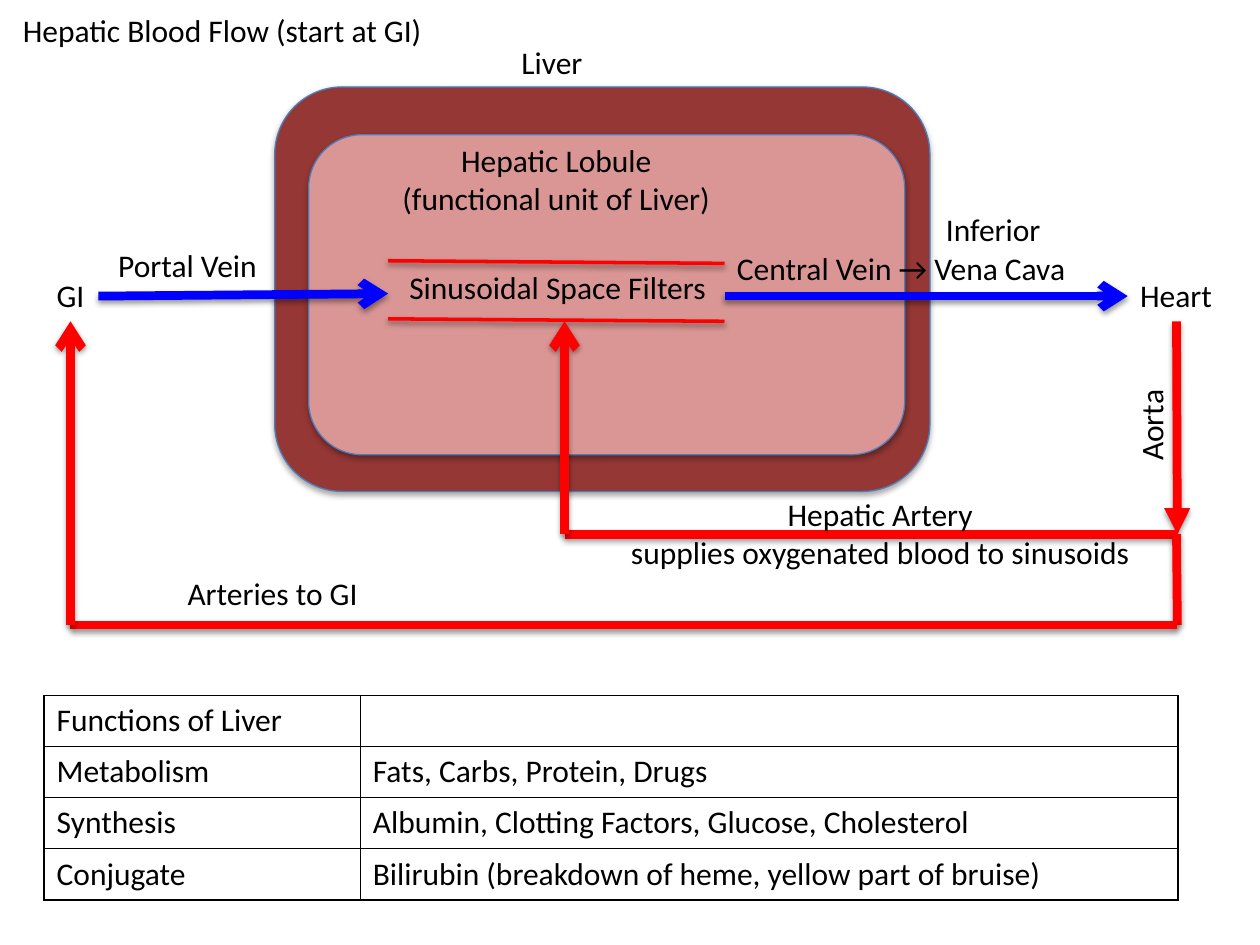
"""Build the hepatic blood flow slide."""
from lxml import etree
from pptx import Presentation
from pptx.dml.color import RGBColor
from pptx.enum.shapes import MSO_CONNECTOR, MSO_SHAPE
from pptx.enum.text import MSO_ANCHOR, PP_ALIGN
from pptx.oxml.ns import qn
from pptx.util import Pt

ROUND = MSO_SHAPE.ROUNDED_RECTANGLE
STRAIGHT = MSO_CONNECTOR.STRAIGHT
TOP = MSO_ANCHOR.TOP
LEFT, CENTER = PP_ALIGN.LEFT, PP_ALIGN.CENTER

COLORS = {"liver": "953735", "lobule": "D99694", "edge": "4B7EBC",
          "vein": "0000FF", "artery": "FF0000", "ink": "000000"}
FONT, SIZE = "Calibri", 18

TITLE = ("Hepatic Blood Flow (start at GI)", 5.8, 2.9, 245.5, 28.8)
BOXES = [("liver", 157, 49.7, 374.4, 231.1), ("lobule", 176.4, 77, 340.6, 182.9)]

GUT, HEART, SINUS = 40.3, 672.8, 322.6
WALL, EXIT = 221.8, 414
FLOW, BASE, FORK, FLOOR = 169.2, 183.6, 305.3, 357.1
LINES = [
    ("vein", EXIT, FLOW, 644.4, FLOW, 5, "arrow"),
    ("vein", 56.2, FLOW, WALL, 167.8, 5, "arrow"),
    ("artery", WALL, 149, EXIT, 150.5, 2, None),
    ("artery", WALL, 182.2, EXIT, BASE, 2, None),
    ("artery", 672.3, BASE, HEART, FORK, 5, "triangle"),
    ("artery", HEART, FORK, SINUS, FORK, 5, None),
    ("artery", SINUS, FORK, SINUS, BASE, 5, "arrow"),
    ("artery", 672.3, FORK, HEART, FLOOR, 5, None),
    ("artery", HEART, FLOOR, GUT, FLOOR, 5, None),
    ("artery", GUT, FLOOR, GUT, BASE, 5, "arrow"),
]
LABELS = [
    ("GI", 25.2, 154.1, 30.2, 0),
    ("Liver", 290.9, 20.9, 49.7, 0),
    ("Hepatic Lobule\n(functional unit of Liver)", 221.8, 77, 192.2, 0),
    ("Portal Vein", 60.5, 136.8, 95.8, 0),
    ("Heart", 644.4, 154.1, 56.2, 0),
    ("Central Vein → Vena Cava", 414, 139, 208.1, 0),
    ("Sinusoidal Space Filters", 226.8, 149.8, 186.5, 0),
    ("Hepatic Artery\nsupplies oxygenated blood to sinusoids", 351.4, 279.4, 303.1, 0),
    ("Inferior", 533.5, 116.6, 69.8, 0),
    ("Aorta", 630, 228.2, 55.4, 270),
    ("Arteries to GI", 100.1, 324.7, 113, 0),
]
ROWS = [
    ("Functions of Liver", ""),
    ("Metabolism", "Fats, Carbs, Protein, Drugs"),
    ("Synthesis", "Albumin, Clotting Factors, Glucose, Cholesterol"),
    ("Conjugate", "Bilirubin (breakdown of heme, yellow part of bruise)"),
]
GRID = (25.2, 397.4)
COLS, ROW = (180.7, 467.3), 29.2


def rgb(name):
    return RGBColor.from_string(COLORS[name])


def node(parent, tag, **attrs):
    return etree.SubElement(parent, qn(tag), attrs)


def shade(shape, alpha):
    root = node(shape._element.spPr, "a:effectLst")
    cast = node(root, "a:outerShdw", blurRad=str(Pt(3.1)), dist=str(Pt(1.7)),
                dir="5400000", rotWithShape="0")
    tint = node(cast, "a:srgbClr", val=COLORS["ink"])
    node(tint, "a:alpha", val=str(alpha * 1000))


def write(frame, text, align):
    frame.text = text
    for para in frame.paragraphs:
        para.alignment = align
        for run in para.runs:
            run.font.name, run.font.size = FONT, Pt(SIZE)
            run.font.color.rgb = rgb("ink")


def add_box(slide, name, *place):
    box = slide.shapes.add_shape(ROUND, *map(Pt, place))
    box.fill.solid()
    box.fill.fore_color.rgb = rgb(name)
    box.line.color.rgb = rgb("edge")
    box.line.width = Pt(0.75)
    shade(box, 35)


def add_line(slide, name, x1, y1, x2, y2, width, tip):
    line = slide.shapes.add_connector(STRAIGHT, *map(Pt, (x1, y1, x2, y2)))
    line.line.color.rgb = rgb(name)
    line.line.width = Pt(width)
    if tip:
        node(line.get_or_add_ln(), "a:tailEnd", type=tip)
    shade(line, 38)


def add_label(slide, text, left, top, width, turn):
    lines = text.count("\n") + 1
    box = slide.shapes.add_textbox(*map(Pt, (left, top, width, 7.2 + 21.8 * lines)))
    box.rotation = turn
    box.text_frame.word_wrap = False
    write(box.text_frame, text, CENTER if lines > 1 else LEFT)


def add_grid(slide):
    size = (sum(COLS), ROW * len(ROWS))
    table = slide.shapes.add_table(len(ROWS), len(COLS), *map(Pt, GRID + size)).table
    table.first_row = table.horz_banding = False
    for col, width in zip(table.columns, COLS):
        col.width = Pt(width)
    for row, texts in zip(table.rows, ROWS):
        row.height = Pt(ROW)
        for cell, text in zip(row.cells, texts):
            write(cell.text_frame, text, LEFT)
            props = cell._tc.get_or_add_tcPr()
            for side in "LRTB":
                edge = node(props, f"a:ln{side}", w=str(Pt(1)))
                node(node(edge, "a:solidFill"), "a:srgbClr", val=COLORS["ink"])
            cell.fill.background()


def main():
    deck = Presentation()
    deck.slide_width, deck.slide_height = Pt(720), Pt(540)
    slide = deck.slides.add_slide(deck.slide_layouts[5])
    title = slide.shapes.title
    text, *place = TITLE
    title.left, title.top, title.width, title.height = map(Pt, place)
    title.text_frame.word_wrap = False
    title.text_frame.vertical_anchor = TOP
    write(title.text_frame, text, LEFT)
    for box in BOXES:
        add_box(slide, *box)
    for line in LINES:
        add_line(slide, *line)
    for label in LABELS:
        add_label(slide, *label)
    add_grid(slide)
    deck.save("out.pptx")


if __name__ == "__main__":
    main()
